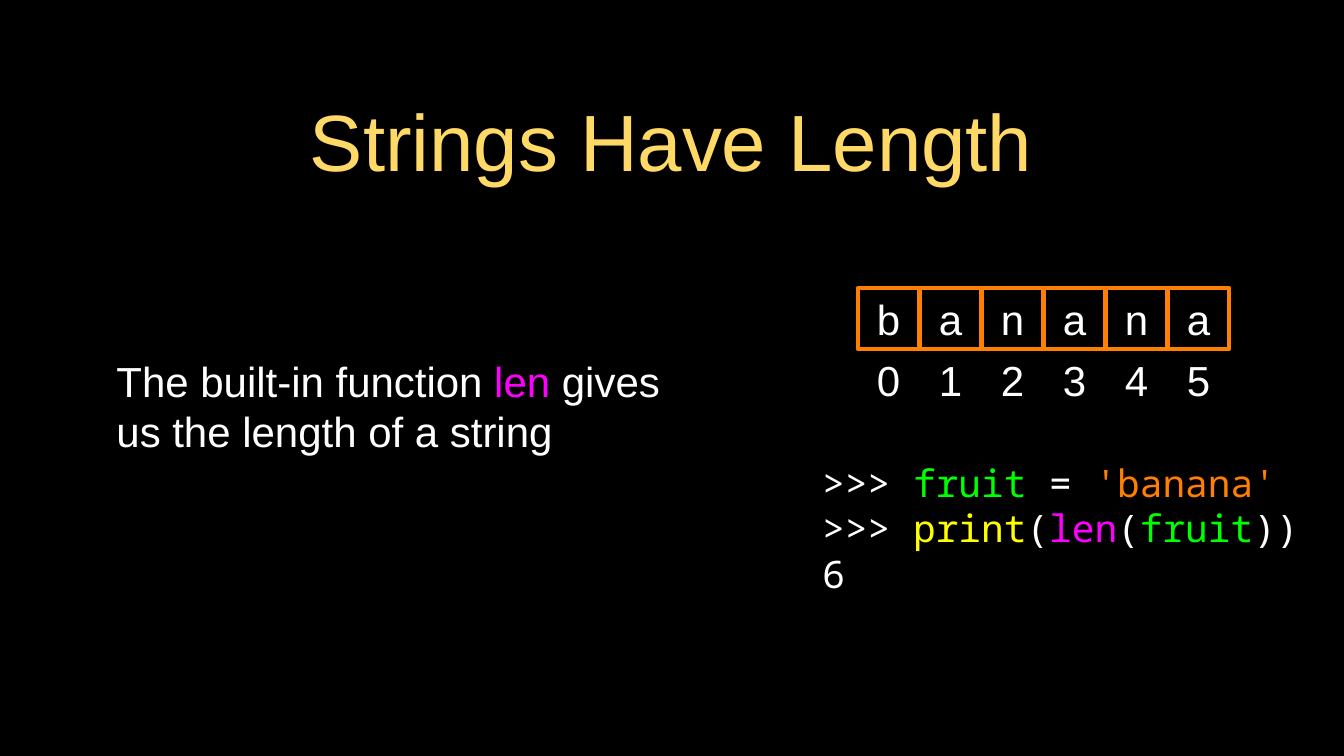
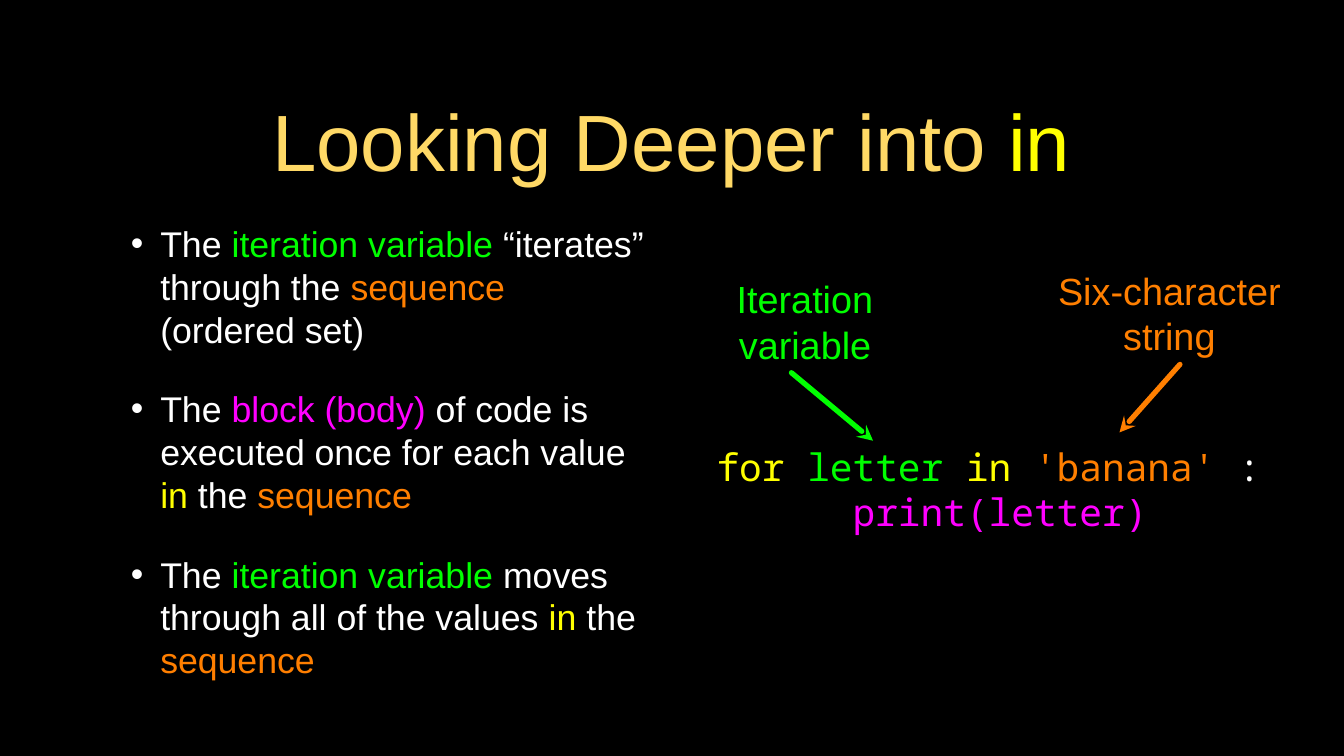
from lxml.etree import SubElement
from pptx import Presentation
from pptx.dml.color import RGBColor
from pptx.enum.shapes import MSO_CONNECTOR, MSO_SHAPE
from pptx.enum.text import MSO_ANCHOR, MSO_AUTO_SIZE, PP_ALIGN
from pptx.oxml.ns import qn
from pptx.util import Inches, Pt

WIDE, HIGH = 17.78, 10
BLACK, WHITE, GOLD = "000000", "FFFFFF", "FFD966"
GREEN, ORANGE, YELLOW, PINK = "00FF00", "FF7F00", "FFFF00", "FF00FF"
SANS, MONO = "Arial", "Noto Sans Mono"
PAD = 0.04

# Each text is a list of paragraphs, each paragraph a list of (words, colour).
WORD = "banana"
LENGTH = {
    "title": [("Strings Have Length", GOLD)],
    "body": [[("The built-in function ", WHITE), ("len ", PINK),
              ("gives us the length of a string", WHITE)]],
    "code": [
        [(">>> ", WHITE), ("fruit", GREEN), (" = ", WHITE), ("'banana'", ORANGE)],
        [(">>> ", WHITE), ("print", YELLOW), ("(", WHITE), ("len", PINK),
         ("(", WHITE), ("fruit", GREEN), ("))", WHITE)],
        [("6", WHITE)],
    ],
}
DEEPER = {
    "title": [("Looking Deeper into ", GOLD), ("in", YELLOW)],
    "body": [
        [("The ", WHITE), ("iteration variable ", GREEN),
         ("“iterates” through the ", WHITE), ("sequence ", ORANGE),
         ("(ordered set)", WHITE)],
        [("The ", WHITE), ("block (body)", PINK),
         (" of code is executed once for each value ", WHITE),
         ("in", YELLOW), (" the ", WHITE), ("sequence", ORANGE)],
        [("The ", WHITE), ("iteration variable ", GREEN),
         ("moves through all of the values ", WHITE),
         ("in", YELLOW), (" the ", WHITE), ("sequence", ORANGE)],
    ],
    "code": [
        [("for ", YELLOW), ("letter ", GREEN), ("in ", YELLOW),
         ("'banana' ", ORANGE), (":", WHITE)],
        [("print(letter)", PINK)],
    ],
}
# words, colour, box, arrow start, arrow tip
LABELS = [
    ("Iteration variable", GREEN, (8.87, 3.55, 3.56, 1.4), (10.47, 4.93), (11.55, 5.83)),
    ("Six-character string", ORANGE, (13.42, 3.55, 4.1, 1.18), (15.61, 4.82), (14.81, 5.72)),
]
CELL, PITCH = 0.81, 0.82
ROW_LEFT, ROW_TOP = 11.35, 3.81


def rgb(code):
    return RGBColor.from_string(code)


def write(frame, paras, size, font=SANS, align=PP_ALIGN.LEFT, pad=0):
    """Fill a text frame with coloured runs, centred in height."""
    frame.word_wrap = True
    frame.auto_size = MSO_AUTO_SIZE.NONE
    frame.vertical_anchor = MSO_ANCHOR.MIDDLE
    frame.margin_left = frame.margin_right = Inches(pad)
    frame.margin_top = frame.margin_bottom = Inches(pad)
    for i, parts in enumerate(paras):
        para = frame.add_paragraph() if i else frame.paragraphs[0]
        para.alignment = align
        para.line_spacing = Pt(size * 1.2)
        para.space_before = Pt(0)
        for words, color in parts:
            run = para.add_run()
            run.text = words
            run.font.size, run.font.name = Pt(size), font
            run.font.color.rgb = rgb(color)


def add_text(slide, box, paras, size, **style):
    frame = slide.shapes.add_textbox(*map(Inches, box)).text_frame
    write(frame, paras, size, **style)
    return frame


def indent(para, left, first=0):
    props = para._p.get_or_add_pPr()
    props.set("marL", str(Inches(left)))
    props.set("indent", str(Inches(first)))
    return props


def bullet(para):
    props = indent(para, 0.82, -0.39)
    SubElement(SubElement(props, qn("a:buClr")), qn("a:srgbClr"), val=WHITE)
    SubElement(props, qn("a:buFont"), typeface=SANS)
    SubElement(props, qn("a:buChar"), char="•")


def add_cell(slide, col, char):
    """Draw one boxed letter with its index below."""
    left = ROW_LEFT + col * PITCH
    mid = PP_ALIGN.CENTER
    add_text(slide, (left, ROW_TOP + CELL, CELL, CELL), [[(str(col), WHITE)]], 40, align=mid)
    box = slide.shapes.add_shape(
        MSO_SHAPE.RECTANGLE, *map(Inches, (left, ROW_TOP, CELL, CELL)))
    box.shadow.inherit = False
    box.fill.background()
    box.line.color.rgb, box.line.width = rgb(ORANGE), Pt(4)
    write(box.text_frame, [[(char, WHITE)]], 40, align=mid)


def add_arrow(slide, start, tip, color):
    link = slide.shapes.add_connector(
        MSO_CONNECTOR.STRAIGHT, *map(Inches, start + tip))
    link.line.color.rgb, link.line.width = rgb(color), Pt(5)
    line = link.line._get_or_add_ln()
    line.set("cap", "rnd")
    SubElement(line, qn("a:tailEnd"), type="stealth")
    SubElement(link._element.spPr, qn("a:effectLst"))


def add_slide(deck, title):
    slide = deck.slides.add_slide(deck.slide_layouts[5])
    head = slide.shapes.title
    head.left, head.top, head.width, head.height = map(Inches, (1.26, 0.91, 15.24, 1.87))
    write(head.text_frame, [title], 76, align=PP_ALIGN.CENTER, pad=PAD)
    return slide


def length_slide(deck):
    slide = add_slide(deck, LENGTH["title"])
    body = add_text(slide, (1.26, 2.85, 8.08, 5.04), LENGTH["body"], 40, pad=PAD)
    indent(body.paragraphs[0], 0.24)
    add_text(slide, (10.88, 6.07, 6.9, 1.82), LENGTH["code"], 36, font=MONO)
    for col, char in enumerate(WORD):
        add_cell(slide, col, char)


def deeper_slide(deck):
    slide = add_slide(deck, DEEPER["title"])
    body = add_text(slide, (1.26, 2.85, 7.31, 6.24), DEEPER["body"], 34, pad=PAD)
    for i, para in enumerate(body.paragraphs):
        para.space_before = Pt(35 if i else 0)
        bullet(para)
    code = add_text(slide, (9.48, 5.72, 7.87, 1.5), DEEPER["code"], 36, font=MONO)
    indent(code.paragraphs[1], 1.8)
    for words, color, box, start, tip in LABELS:
        add_text(slide, box, [[(words, color)]], 36, align=PP_ALIGN.CENTER)
        add_arrow(slide, start, tip, color)


def main():
    deck = Presentation()
    deck.slide_width, deck.slide_height = Inches(WIDE), Inches(HIGH)
    fill = deck.slide_master.background.fill
    fill.solid()
    fill.fore_color.rgb = rgb(BLACK)
    length_slide(deck)
    deeper_slide(deck)
    deck.save("out.pptx")


if __name__ == "__main__":
    main()
